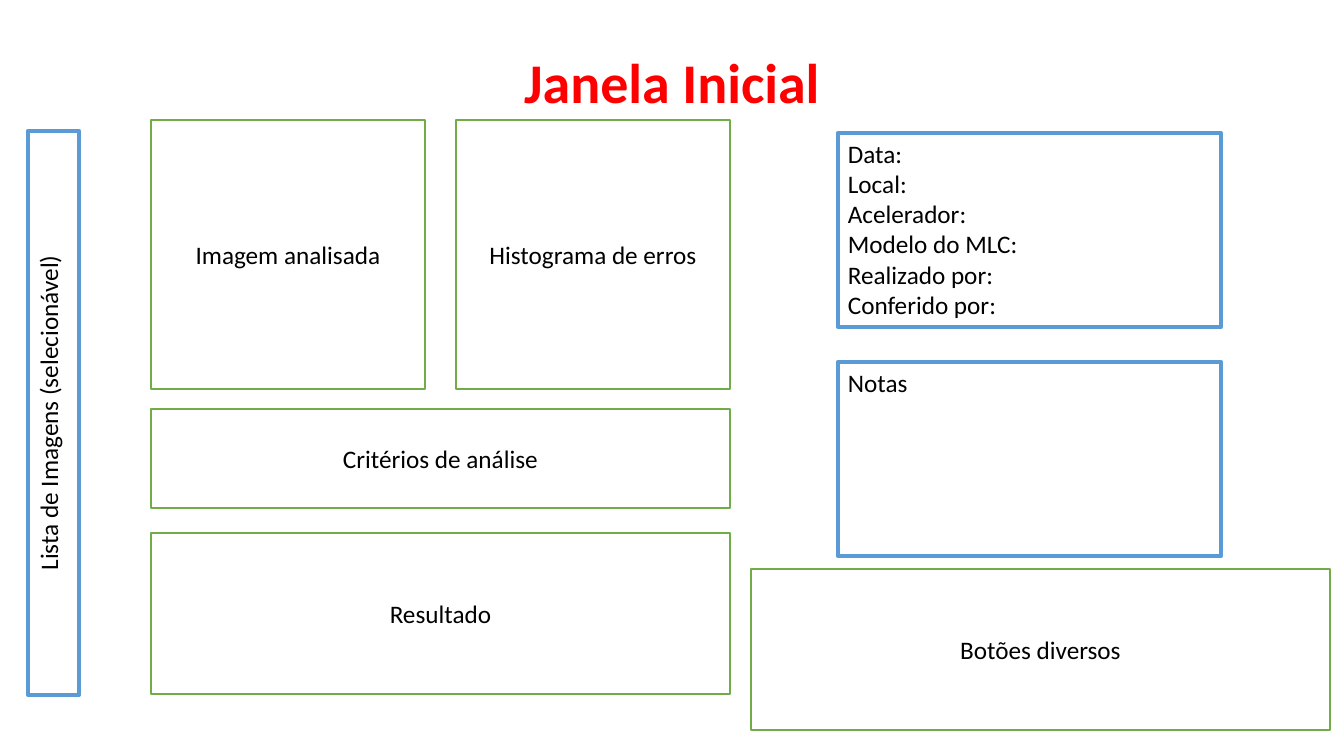
from pptx import Presentation
from pptx.dml.color import RGBColor
from pptx.enum.shapes import MSO_SHAPE
from pptx.enum.text import MSO_ANCHOR, MSO_AUTO_SIZE, PP_ALIGN
from pptx.util import Emu, Pt

SCALE = 914400 / 100.8
PAGE_WIDTH, PAGE_HEIGHT = 1344, 756

TITLE = "Janela Inicial"
IMAGE_LIST = "Lista de Imagens (selecionável)"
TOP_PANELS = ["Imagem analisada", "Histograma de erros"]
WIDE_PANELS = [("Critérios de análise", 409, 99), ("Resultado", 533, 161)]
BUTTONS = "Botões diversos"
FORMS = [
    ["Data:", "Local:", "Acelerador:", "Modelo do MLC:", "Realizado por:", "Conferido por:"],
    ["Notas"],
]

GREEN, BLUE, RED, BLACK, WHITE = "70AD47", "5B9BD5", "FF0000", "000000", "FFFFFF"

PANEL_LEFT, PANEL_TOP, PANEL_GAP = 151, 120, 31
PANEL_WIDTH, PANEL_HEIGHT = 274, 269
WIDE_WIDTH = 2 * PANEL_WIDTH + PANEL_GAP
FORM_LEFT, FORM_TOP, FORM_WIDTH, FORM_HEIGHT, FORM_STEP = 838, 133, 383, 194, 229


def px(pixels):
    """Turn pixels into EMU."""
    return Emu(round(pixels * SCALE))


def color(hex_string):
    """Turn a hex string into a colour."""
    return RGBColor.from_string(hex_string)


def write(shape, lines, size=18, ink=BLACK, bold=False, align=PP_ALIGN.CENTER,
          anchor=MSO_ANCHOR.MIDDLE, vertical=None):
    """Write lines of text into a shape, one paragraph each."""
    frame = shape.text_frame
    frame.word_wrap = True
    frame.auto_size = MSO_AUTO_SIZE.NONE
    frame.vertical_anchor = anchor
    frame.margin_left = frame.margin_right = Pt(7.2)
    frame.margin_top = frame.margin_bottom = Pt(3.6)
    if vertical:
        frame._txBody.bodyPr.set("vert", vertical)
    for index, line in enumerate(lines):
        para = frame.paragraphs[0] if index == 0 else frame.add_paragraph()
        para.alignment = align
        para.line_spacing = 1.0
        para.space_before = Pt(0)
        span = para.add_run()
        span.text = line
        span.font.name = "Calibri"
        span.font.size = Pt(size)
        span.font.bold = bold
        span.font.color.rgb = color(ink)


def add_box(page, lines, left, top, width, height, border=GREEN, weight=1, **text_format):
    """Add a white outlined rectangle with text."""
    box = page.shapes.add_shape(MSO_SHAPE.RECTANGLE, px(left), px(top), px(width), px(height))
    box.shadow.inherit = False
    box.fill.solid()
    box.fill.fore_color.rgb = color(WHITE)
    box.line.color.rgb = color(border)
    box.line.width = Pt(weight)
    write(box, lines, **text_format)


def build():
    """Build the window layout slide and save it."""
    deck = Presentation()
    deck.slide_width, deck.slide_height = px(PAGE_WIDTH), px(PAGE_HEIGHT)
    page = deck.slides.add_slide(deck.slide_layouts[5])

    title = page.shapes.title
    title.left, title.top, title.width, title.height = px(0), px(42), px(PAGE_WIDTH), px(78)
    write(title, [TITLE], size=40, ink=RED, bold=True, anchor=MSO_ANCHOR.TOP)

    add_box(page, [IMAGE_LIST], 28, 131, 51, 564, border=BLUE, weight=3,
            anchor=MSO_ANCHOR.TOP, vertical="vert270")
    for column, label in enumerate(TOP_PANELS):
        left = PANEL_LEFT + column * (PANEL_WIDTH + PANEL_GAP)
        add_box(page, [label], left, PANEL_TOP, PANEL_WIDTH, PANEL_HEIGHT)
    for label, top, height in WIDE_PANELS:
        add_box(page, [label], PANEL_LEFT, top, WIDE_WIDTH, height)
    for row, lines in enumerate(FORMS):
        add_box(page, lines, FORM_LEFT, FORM_TOP + row * FORM_STEP, FORM_WIDTH, FORM_HEIGHT,
                border=BLUE, weight=3, align=PP_ALIGN.LEFT, anchor=MSO_ANCHOR.TOP)
    add_box(page, [BUTTONS], 751, 569, WIDE_WIDTH, 161)

    deck.save("out.pptx")


build()
